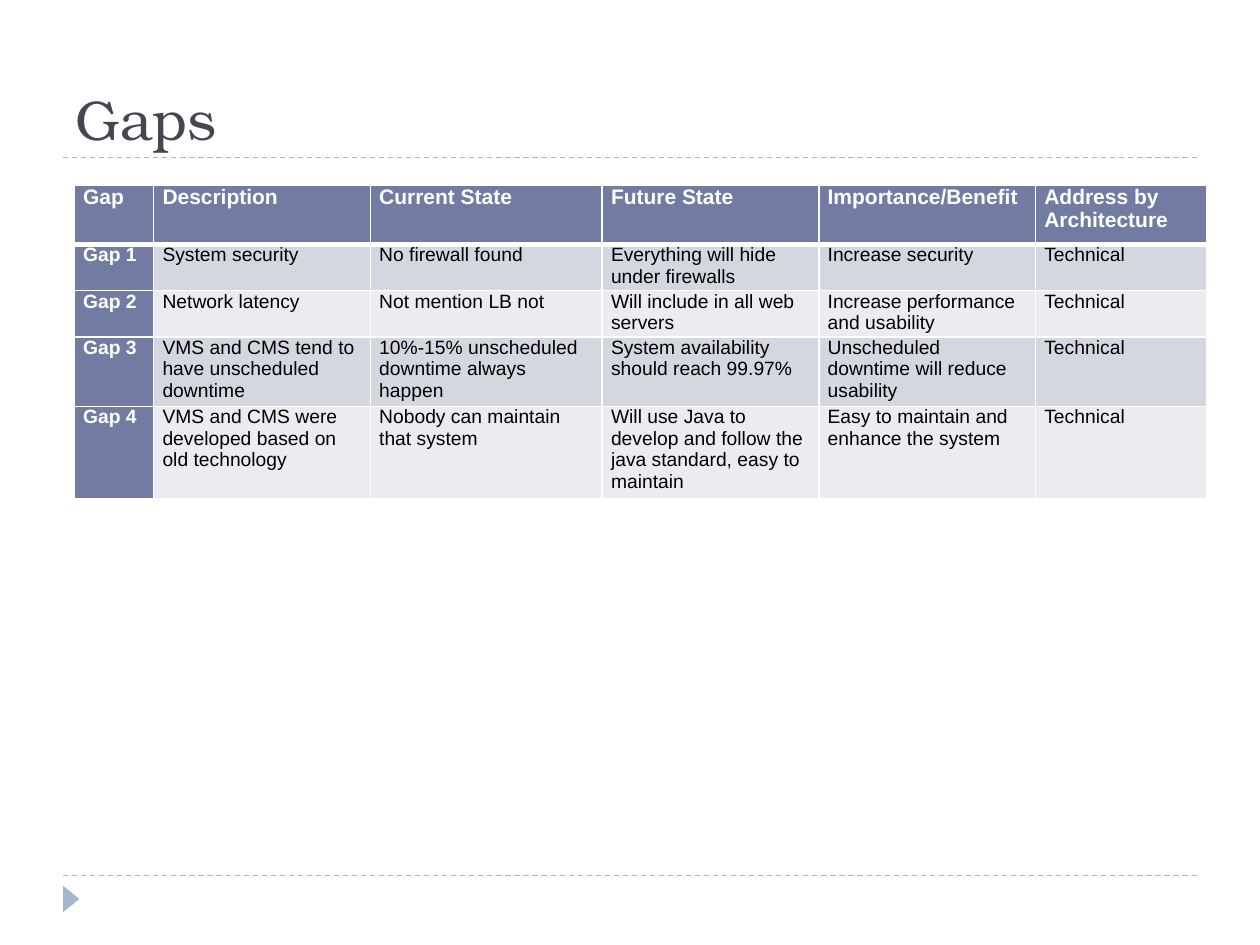
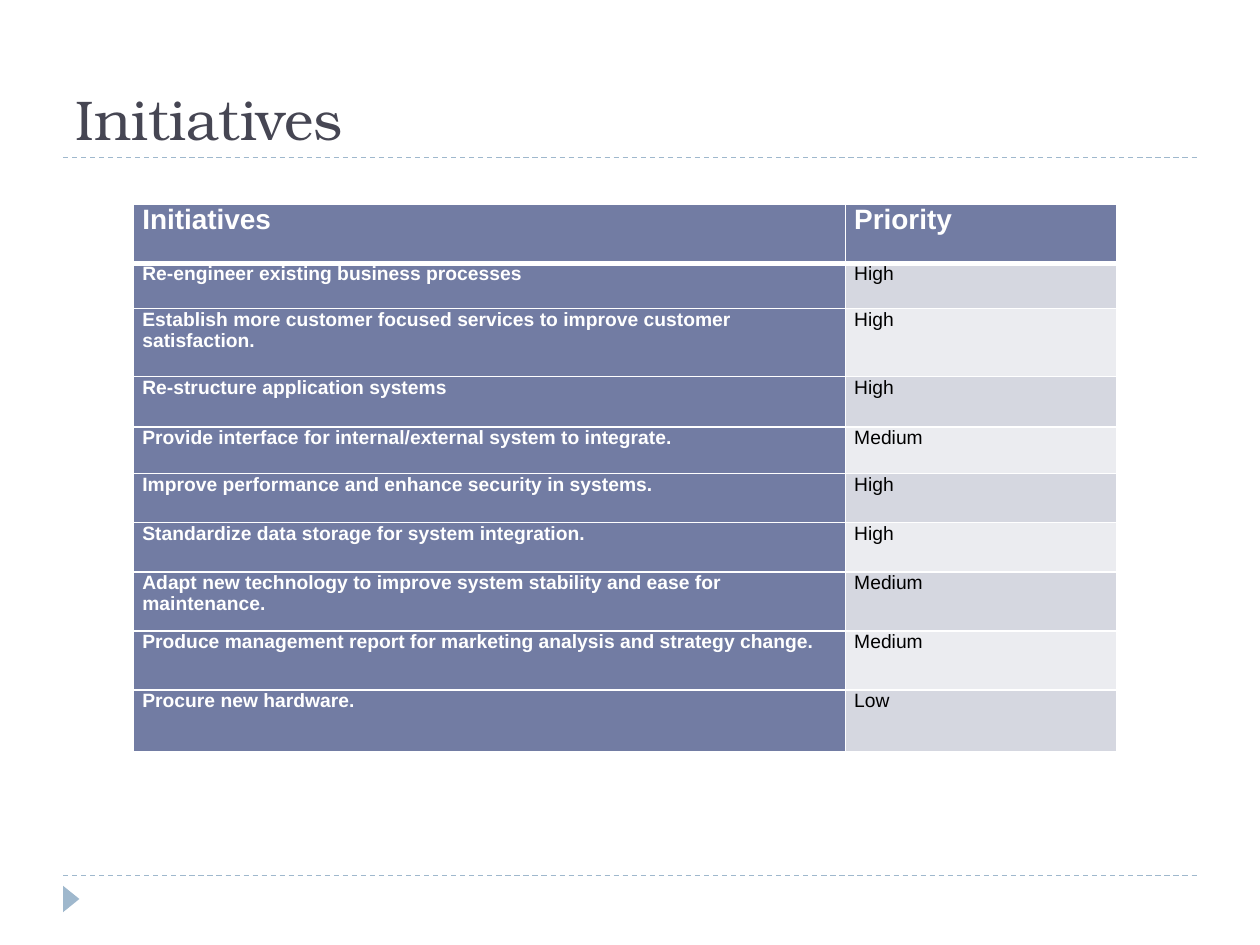
from dataclasses import dataclass

from lxml import etree
from pptx import Presentation
from pptx.dml.color import RGBColor
from pptx.enum.dml import MSO_LINE_DASH_STYLE as Dash
from pptx.enum.shapes import MSO_CONNECTOR as Connector, MSO_SHAPE as Shape
from pptx.enum.text import MSO_ANCHOR as Anchor
from pptx.oxml.ns import qn
from pptx.util import Inches, Pt

# Content
GAPS = {
    "title": "Gaps",
    "origin": (0.59, 1.47),
    "header_size": 12,
    "columns": [0.63, 1.72, 1.84, 1.72, 1.72, 1.36],
    "heights": [0.47, 0.36, 0.36, 0.54, 0.72],
    "rows": [
        ("Gap", "Description", "Current State", "Future State",
         "Importance/Benefit", "Address by Architecture"),
        ("Gap 1", "System security", "No firewall found",
         "Everything will hide under firewalls", "Increase security", "Technical"),
        ("Gap 2", "Network latency", "Not mention LB not",
         "Will include in all web servers",
         "Increase performance and usability", "Technical"),
        ("Gap 3", "VMS and CMS tend to have unscheduled downtime",
         "10%-15% unscheduled downtime always happen",
         "System availability should reach 99.97%",
         "Unscheduled downtime will reduce usability", "Technical"),
        ("Gap 4", "VMS and CMS were developed based on old technology",
         "Nobody can maintain that system",
         "Will use Java to develop and follow the java standard, easy to maintain",
         "Easy to maintain and enhance the system", "Technical"),
    ],
}
INITIATIVES = {
    "title": "Initiatives",
    "origin": (1.06, 1.62),
    "header_size": 16,
    "columns": [5.65, 2.15],
    "heights": [0.47, 0.36, 0.54, 0.4, 0.37, 0.39, 0.39, 0.47, 0.47, 0.49],
    "rows": [
        ("Initiatives", "Priority"),
        ("Re-engineer existing business processes", "High"),
        ("Establish more customer focused services to improve customer satisfaction.",
         "High"),
        ("Re-structure application systems", "High"),
        ("Provide interface for internal/external system to integrate.", "Medium"),
        ("Improve performance and enhance security in systems.", "High"),
        ("Standardize data storage for system integration.", "High"),
        ("Adapt new technology to improve system stability and ease for maintenance.",
         "Medium"),
        ("Produce management report for marketing analysis and strategy change.",
         "Medium"),
        ("Procure new hardware.", "Low"),
    ],
}


# Shared look
@dataclass(frozen=True)
class Theme:
    title_font: str = "TeX Gyre Bonum"
    body_font: str = "Arial"
    title_size: int = 32
    body_size: int = 11
    title: str = "464653"
    accent: str = "9FB8CD"
    heading: str = "727CA3"
    bands: tuple = ("D5D7E0", "EBECF0")
    white: str = "FFFFFF"
    black: str = "000000"


THEME = Theme()
MARGIN, CONTENT_WIDTH = 0.5, 9
TITLE_RULE, FOOTER_RULE = 1.25, 6.95
GRID_WIDTH, HEADER_RULE_WIDTH = 1, 3


def rgb(value):
    return RGBColor.from_string(value)


def apply(target, formats):
    for name, value in formats.items():
        setattr(target, name, value)


def style_run(run, font, size, color, bold=False):
    apply(run.font, {"name": font, "size": Pt(size), "bold": bold})
    run.font.color.rgb = rgb(color)


def add_rule(slide, y):
    rule = slide.shapes.add_connector(
        Connector.STRAIGHT, Inches(MARGIN), Inches(y),
        Inches(MARGIN + CONTENT_WIDTH), Inches(y))
    apply(rule.line, {"width": Pt(0.75), "dash_style": Dash.DASH})
    rule.line.color.rgb = rgb(THEME.accent)
    etree.SubElement(rule._element.spPr, qn("a:effectLst"))


def add_frame(slide, title):
    # Rules above the table and above the footer
    for y in (FOOTER_RULE, TITLE_RULE):
        add_rule(slide, y)

    # Footer marker
    marker = slide.shapes.add_shape(
        Shape.ISOSCELES_TRIANGLE, Inches(0.46), Inches(7.07), Inches(0.21), Inches(0.13))
    marker.rotation = 90
    marker.shadow.inherit = False
    marker.fill.solid()
    marker.fill.fore_color.rgb = rgb(THEME.accent)
    marker.line.fill.background()

    # Title resting on the upper rule
    heading = slide.shapes.add_textbox(
        Inches(MARGIN), Inches(0.17), Inches(CONTENT_WIDTH), Inches(1.08)).text_frame
    apply(heading, {"word_wrap": True, "vertical_anchor": Anchor.BOTTOM})
    run = heading.paragraphs[0].add_run()
    run.text = title
    style_run(run, THEME.title_font, THEME.title_size, THEME.title)


def add_borders(cell, widths):
    properties = cell._tc.get_or_add_tcPr()
    for side, width in widths.items():
        border = etree.SubElement(properties, qn(f"a:ln{side}"), w=str(Pt(width)))
        fill = etree.SubElement(border, qn("a:solidFill"))
        etree.SubElement(fill, qn("a:srgbClr"), val=THEME.white)


def fill_cell(cell, text, row, column, header_size):
    is_header = row == 0
    is_heading = is_header or column == 0
    apply(cell, {"margin_left": Inches(0.07), "margin_right": Inches(0.07),
                 "margin_top": 0, "margin_bottom": 0})
    add_borders(cell, {
        "L": GRID_WIDTH, "R": GRID_WIDTH,
        "T": HEADER_RULE_WIDTH if row == 1 else GRID_WIDTH,
        "B": HEADER_RULE_WIDTH if is_header else GRID_WIDTH})
    cell.fill.solid()
    cell.fill.fore_color.rgb = rgb(
        THEME.heading if is_heading else THEME.bands[(row - 1) % 2])
    paragraph = cell.text_frame.paragraphs[0]
    apply(paragraph, {"space_before": Pt(6), "space_after": Pt(3)})
    run = paragraph.add_run()
    run.text = text
    style_run(run, THEME.body_font, header_size if is_header else THEME.body_size,
              THEME.white if is_heading else THEME.black, is_heading)


def add_grid(slide, content):
    rows, columns, heights = content["rows"], content["columns"], content["heights"]
    left, top = content["origin"]
    grid = slide.shapes.add_table(
        len(rows), len(columns), Inches(left), Inches(top),
        Inches(sum(columns)), Inches(sum(heights))).table
    apply(grid, {"first_row": True, "first_col": True, "horz_banding": False})
    for column, width in zip(grid.columns, columns):
        column.width = Inches(width)
    for row, height in zip(grid.rows, heights):
        row.height = Inches(height)
    for r, texts in enumerate(rows):
        for c, text in enumerate(texts):
            fill_cell(grid.cell(r, c), text, r, c, content["header_size"])


def main():
    deck = Presentation()
    apply(deck, {"slide_width": Inches(10), "slide_height": Inches(7.5)})
    blank = deck.slide_layouts[6]
    for content in (GAPS, INITIATIVES):
        slide = deck.slides.add_slide(blank)
        add_frame(slide, content["title"])
        add_grid(slide, content)
    deck.save("out.pptx")


if __name__ == "__main__":
    main()
